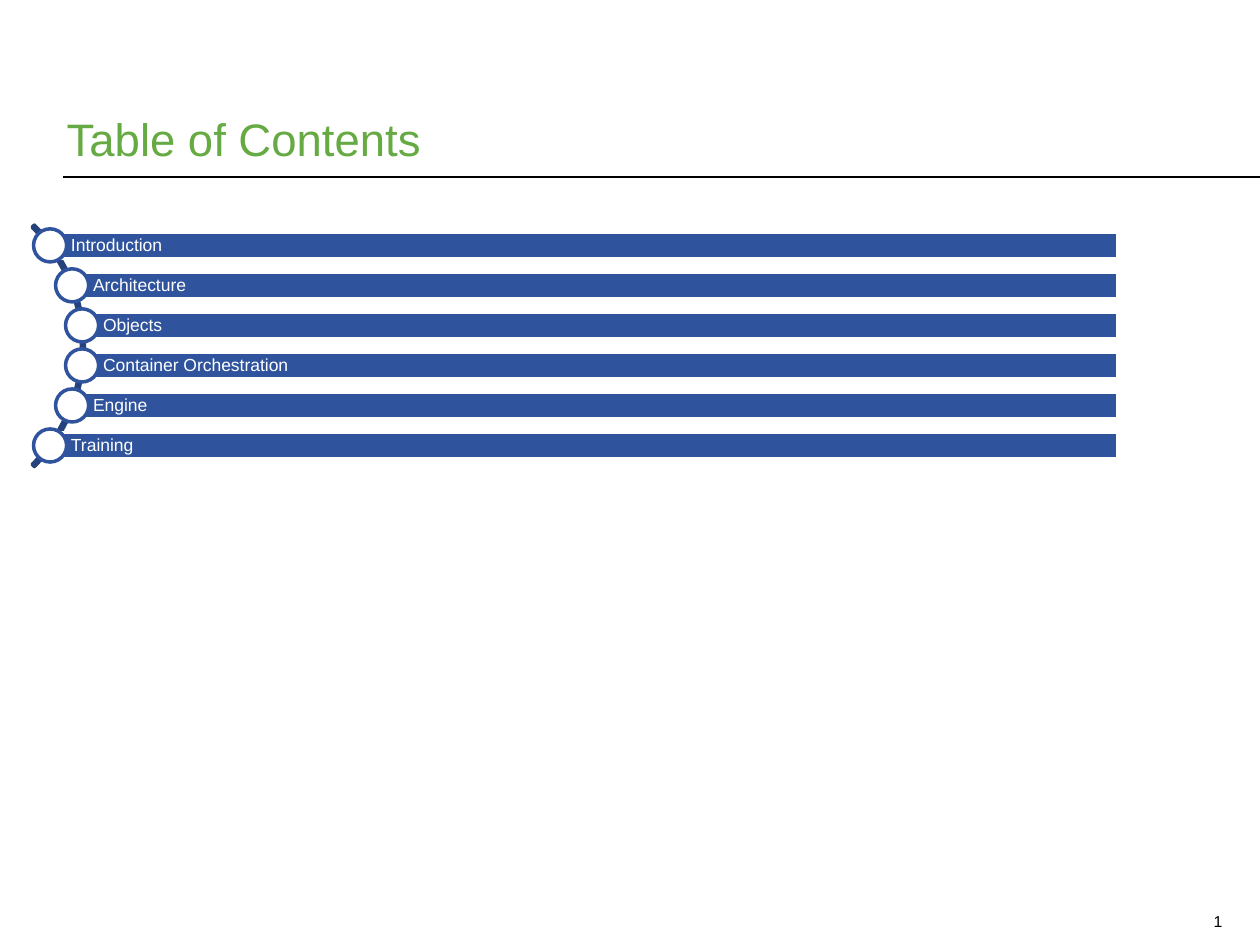
from pptx import Presentation
from pptx.dml.color import RGBColor
from pptx.enum.shapes import MSO_CONNECTOR, MSO_SHAPE
from pptx.enum.text import MSO_ANCHOR, PP_ALIGN
from pptx.oxml.ns import qn
from pptx.util import Pt
from lxml import etree

LINE, ARC = MSO_CONNECTOR.STRAIGHT, MSO_SHAPE.BLOCK_ARC
RECT, OVAL = MSO_SHAPE.RECTANGLE, MSO_SHAPE.OVAL
MIDDLE, BOTTOM = MSO_ANCHOR.MIDDLE, MSO_ANCHOR.BOTTOM
LEFT, RIGHT = PP_ALIGN.LEFT, PP_ALIGN.RIGHT

BLACK = RGBColor(0x00, 0x00, 0x00)
WHITE = RGBColor(0xFF, 0xFF, 0xFF)
GREEN = RGBColor(0x66, 0xAA, 0x44)
BLUE = RGBColor(0x2F, 0x53, 0x9C)
NAVY = RGBColor(0x26, 0x42, 0x7D)


def write(shape, text, size, color, anchor, margins, align=LEFT, spacing=1.0):
    frame = shape.text_frame
    frame.word_wrap = True
    frame.vertical_anchor = anchor
    frame.margin_left, frame.margin_top, frame.margin_right, frame.margin_bottom = (
        Pt(m) for m in margins)
    frame.text = text
    paragraph = frame.paragraphs[0]
    paragraph.alignment = align
    paragraph.line_spacing = spacing
    font = paragraph.runs[0].font
    font.name, font.size, font.color.rgb = "Arial", Pt(size), color


def add_outlined(kind, left, top, width, height, line, fill=None):
    shape = slide.shapes.add_shape(kind, Pt(left), Pt(top), Pt(width), Pt(height))
    shape.shadow.inherit = False
    if fill is None:
        shape.fill.background()
    else:
        shape.fill.solid()
        shape.fill.fore_color.rgb = fill
    shape.line.color.rgb = line
    shape.line.width = Pt(2)
    return shape


prs = Presentation()
prs.slide_width, prs.slide_height = Pt(720), Pt(540)
slide = prs.slides.add_slide(prs.slide_layouts[6])

# Title and the rule below it
rule = slide.shapes.add_connector(LINE, Pt(36), Pt(101), Pt(720), Pt(101))
rule.line.color.rgb = BLACK
rule.line.width = Pt(1)
etree.SubElement(rule._element.spPr, qn("a:effectLst"))

title = slide.shapes.add_textbox(Pt(34.5), Pt(25), Pt(651.5), Pt(73))
write(title, "Table of Contents", 26, GREEN, BOTTOM, (3.6, 3.6, 3.6, 3.6))

# Arc that the topics hang on
arc = add_outlined(ARC, -146.9, 100.1, 195.1, 195.1, NAVY)
for i, value in enumerate((189, 27, 0.009)):
    arc.adjustments[i] = value

# Topics: a bar with a circle centred on its left end
BAR_RIGHT, BAR_HEIGHT, CIRCLE = 638.9, 15.1, 18.9
FIRST_MIDDLE, PITCH = 140.2, 22.87
topics = [
    ("Introduction", 28.6),
    ("Architecture", 41.2),
    ("Objects", 46.9),
    ("Container Orchestration", 46.9),
    ("Engine", 41.2),
    ("Training", 28.6),
]
for row, (topic, left) in enumerate(topics):
    middle = FIRST_MIDDLE + row * PITCH
    bar = add_outlined(RECT, left, middle - BAR_HEIGHT / 2,
                       BAR_RIGHT - left, BAR_HEIGHT, WHITE, BLUE)
    write(bar, topic, 10, WHITE, MIDDLE, (12, 2, 2, 2), spacing=0.9)
    add_outlined(OVAL, left - CIRCLE / 2, middle - CIRCLE / 2,
                 CIRCLE, CIRCLE, BLUE, WHITE)

# Page number
page_number = slide.shapes.add_textbox(Pt(572.4), Pt(514), Pt(133.2), Pt(21.6))
write(page_number, "1", 9, BLACK, BOTTOM, (7.2, 3.6, 7.2, 3.6), RIGHT, 0.8)

prs.save("out.pptx")
